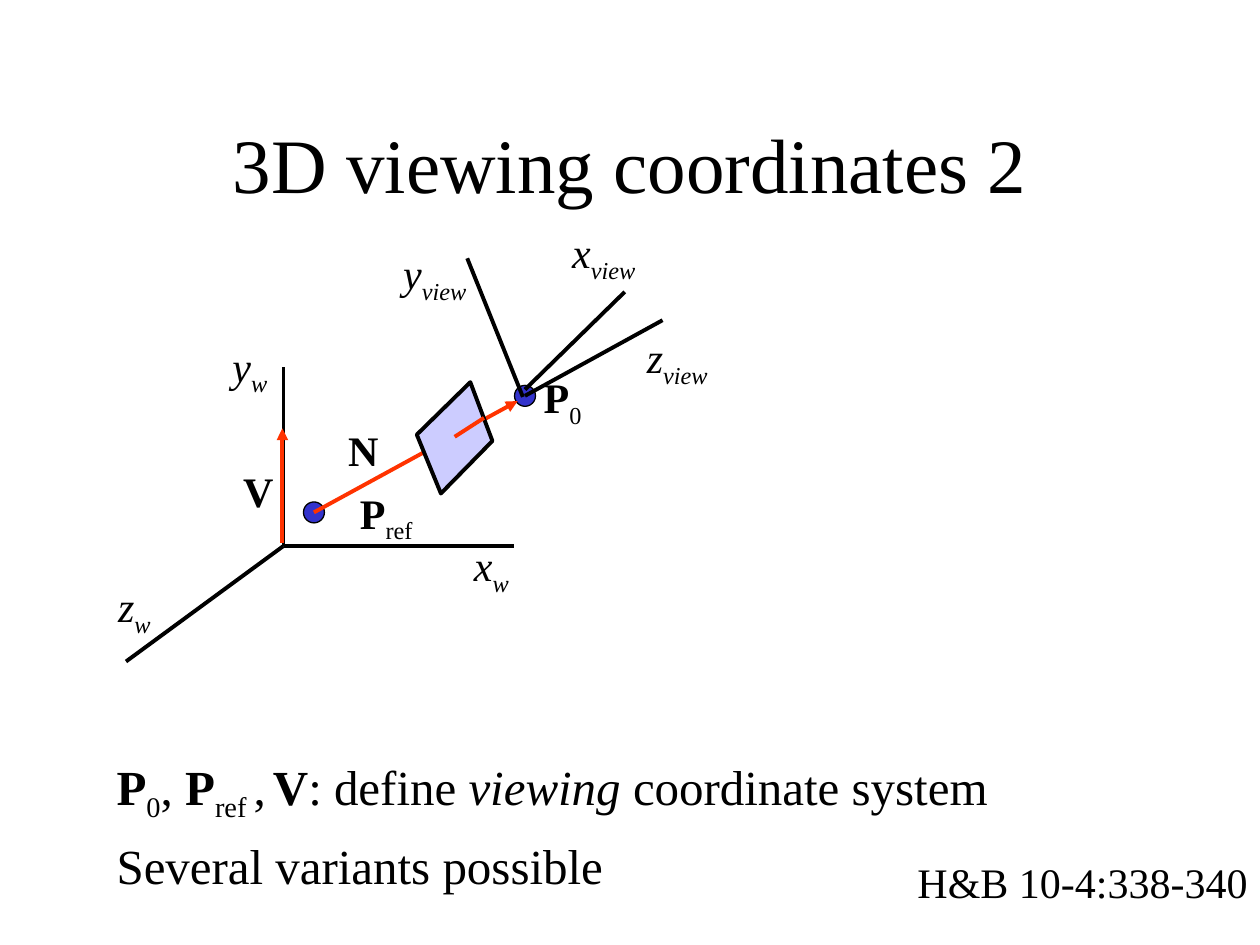
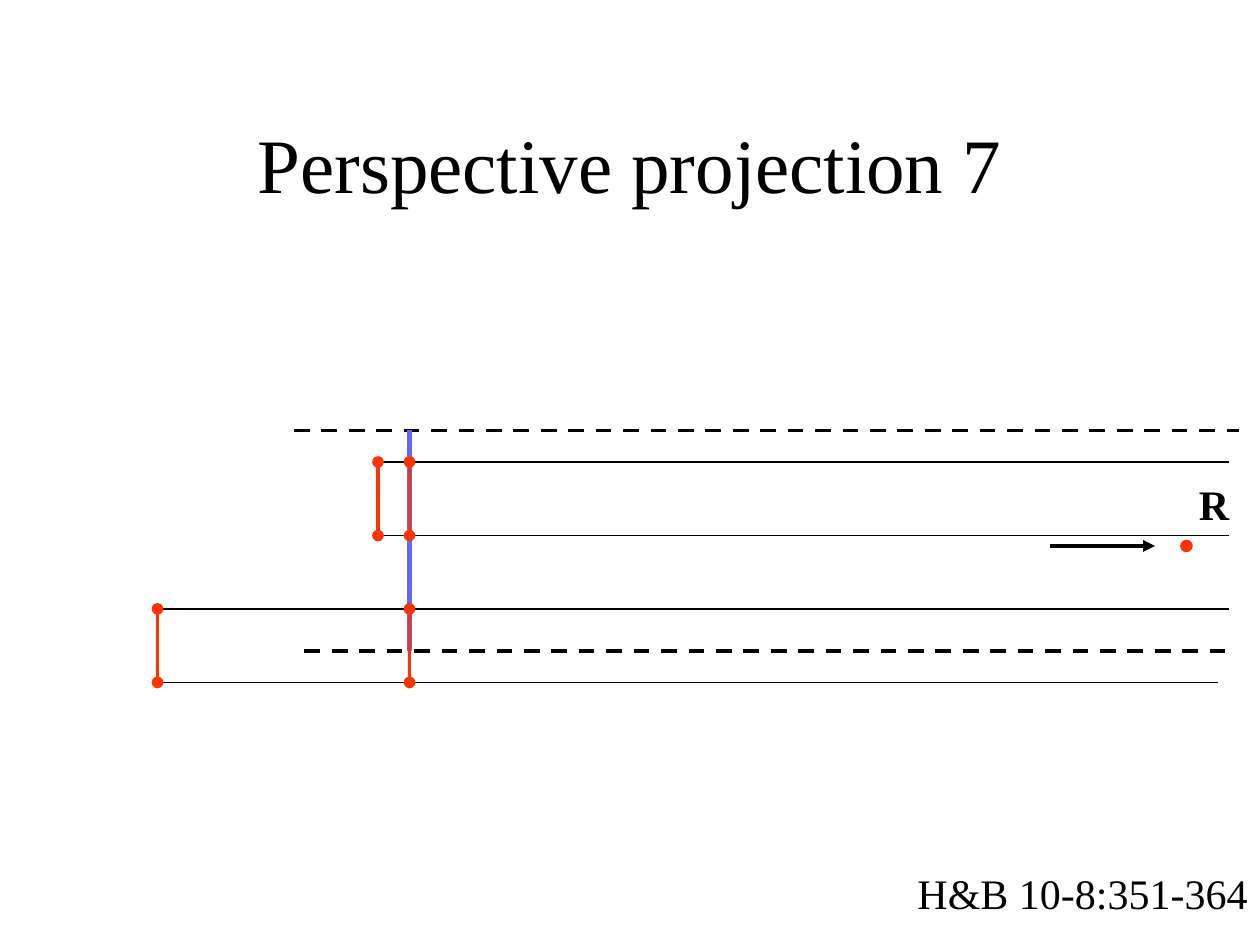
"""Build two slides on viewing coordinates and perspective projection."""
import dataclasses

import lxml.etree
import pptx
import pptx.dml.color
import pptx.enum.dml
import pptx.enum.shapes
import pptx.enum.text
import pptx.oxml.ns
import pptx.util

SCALE = 7620
SHAPE = pptx.enum.shapes.MSO_SHAPE
ALIGN = pptx.enum.text.PP_ALIGN
DASH = pptx.enum.dml.MSO_LINE.DASH


@dataclasses.dataclass(frozen=True)
class Theme:
    font: str = "Times New Roman"
    ink: str = "000000"
    red: str = "FF3300"
    dot: str = "3333CC"
    pane: str = "CCCCFF"
    plane: str = "6666FF"
    title: int = 44
    body: int = 28
    label: int = 24
    thin: float = 0.75
    thick: float = 2.25
    wide: float = 3


THEME = Theme()


def px(num):
    return pptx.util.Emu(num * SCALE)


def tone(code):
    return pptx.dml.color.RGBColor.from_string(code)


def child(node, tag, **attrs):
    lxml.etree.SubElement(node, pptx.oxml.ns.qn(tag), **attrs)


def write(para, text, size=THEME.label, bold=False, slant=False, sub=False):
    run = para.add_run()
    run.text = text
    font = run.font
    font.name, font.size = THEME.font, pptx.util.Pt(size)
    font.bold, font.italic = bold, slant
    font.color.rgb = tone(THEME.ink)
    if sub:
        font._element.set("baseline", "-25000")


class Deck:
    def __init__(self, theme):
        self.theme = theme
        self.show = pptx.Presentation()
        self.show.slide_width, self.show.slide_height = px(1200), px(900)
        self.slide = None

    def start(self, title, layout):
        self.slide = self.show.slides.add_slide(self.show.slide_layouts[layout])
        head = self.slide.shapes.title
        self.place(head, 90, 80, 1020, 150)
        head.text_frame.vertical_anchor = pptx.enum.text.MSO_ANCHOR.MIDDLE
        para = head.text_frame.paragraphs[0]
        para.alignment = ALIGN.CENTER
        write(para, title, size=self.theme.title)

    def place(self, shape, left, top, width, height):
        shape.left, shape.top = px(left), px(top)
        shape.width, shape.height = px(width), px(height)

    def list(self, box, items):
        body = self.slide.placeholders[1]
        self.place(body, *box)
        frame = body.text_frame
        frame.auto_size = pptx.enum.text.MSO_AUTO_SIZE.NONE
        for rank, parts in enumerate(items):
            para = frame.add_paragraph() if rank else frame.paragraphs[0]
            para.space_before = pptx.util.Pt(7 if rank else 0)
            props = para._p.get_or_add_pPr()
            props.set("marL", str(px(45)))
            props.set("indent", str(px(-45)))
            child(props, "a:buNone")
            for text, style in parts:
                write(para, text, size=self.theme.body, **style)

    def label(self, left, top, width, height, *parts, align=ALIGN.CENTER):
        box = self.slide.shapes.add_textbox(*map(px, (left, top, width, height)))
        frame = box.text_frame
        frame.word_wrap = False
        if align == ALIGN.LEFT:
            frame.margin_right = 0
        para = frame.paragraphs[0]
        para.alignment = align
        for text, style in parts:
            write(para, text, **style)

    def line(self, start, end, color=THEME.ink, width=THEME.thick,
             head=None, tail=None, dash=None):
        kind = pptx.enum.shapes.MSO_CONNECTOR.STRAIGHT
        link = self.slide.shapes.add_connector(kind, *map(px, start + end))
        link.line.color.rgb = tone(color)
        link.line.width = pptx.util.Pt(width)
        if dash:
            link.line.dash_style = dash
        props = link._element.spPr
        for tag, form in (("a:headEnd", head), ("a:tailEnd", tail)):
            if form:
                child(props.find(pptx.oxml.ns.qn("a:ln")), tag, type=form)
        child(props, "a:effectLst")

    def paint(self, shape, fill, edge):
        shape.shadow.inherit = False
        shape.fill.solid()
        shape.fill.fore_color.rgb = tone(fill)
        if edge:
            shape.line.color.rgb = tone(self.theme.ink)
            shape.line.width = pptx.util.Pt(edge)
        else:
            shape.line.fill.background()

    def dot(self, mid, size, fill, edge=None):
        left, top = (num - size // 2 for num in mid)
        shape = self.slide.shapes.add_shape(
            SHAPE.OVAL, *map(px, (left, top, size, size)))
        self.paint(shape, fill, edge)

    def patch(self, first, *rest, fill):
        build = self.slide.shapes.build_freeform(*first, scale=SCALE)
        build.add_line_segments(rest, close=True)
        self.paint(build.convert_to_shape(), fill, self.theme.thick)

    def source(self, top, text):
        self.label(862, top, 338, 60, (text, {}), align=ALIGN.LEFT)


PLAIN, BOLD, SLANT = {}, {"bold": True}, {"slant": True}
SUB, LEAN = {"sub": True}, {"slant": True, "sub": True}


def view(deck):
    """Draw the world axes, the view axes and the view plane."""
    deck.start("3D viewing coordinates 2", 1)
    root = (270, 520)
    for end in ((270, 350), (120, 630), (490, 520)):
        deck.line(root, end)
    for left, top, width, name, sub in (
            (98, 547, 60, "z", "w"), (208, 318, 60, "y", "w"),
            (438, 508, 60, "x", "w"), (600, 310, 90, "z", "view"),
            (369, 230, 90, "y", "view"), (530, 210, 90, "x", "view")):
        deck.label(left, top, width, 67, (name, SLANT), (sub, LEAN))
    for left, top, width, sub, mid in ((506, 348, 60, "0", (500, 377)),
                                       (331, 458, 74, "ref", (299, 488))):
        deck.label(left, top, width, 67, ("P", BOLD), (sub, SUB),
                   align=ALIGN.LEFT)
        deck.dot(mid, 20, THEME.dot, THEME.thin)
    for start, end in (((299, 488), (493, 382)), ((269, 517), (269, 408))):
        deck.line(start, end, THEME.red, tail="triangle")
    for left, top, name in ((317, 398, "N"), (217, 437, "V")):
        deck.label(left, top, 58, 60, (name, BOLD))
    deck.patch((397, 414), (420, 470), (469, 420), (448, 364), fill=THEME.pane)
    deck.line((433, 416), (461, 398), THEME.red)
    for start, end in (((631, 305), (500, 377)), ((595, 278), (500, 371)),
                       ((445, 246), (498, 378))):
        deck.line(start, end)
    deck.list((99, 714, 1050, 150), (
        (("P", BOLD), ("0", SUB), (", ", PLAIN), ("P", BOLD), ("ref ", SUB),
         (",", PLAIN), (" ", SUB), ("V", BOLD), (": define ", PLAIN),
         ("viewing ", SLANT), ("coordinate system", PLAIN)),
        (("Several variants possible", PLAIN),)))
    deck.source(810, "H&B 10-4:338-340")


def project(deck):
    """Draw two edges and their images on the plane along rays to R."""
    deck.start("Perspective projection 7", 5)
    plane, gap = 390, 70
    edges = ((360, 440), (150, 580))
    for left, top in edges:
        for row in (top, top + gap):
            right = 1160 if row == 650 else 1170
            deck.line((left, row), (right, row), width=THEME.thin)
    deck.line((280, 410), (1180, 410), dash=DASH)
    deck.line((plane, 410), (plane, 620), THEME.plane, THEME.wide)
    deck.line((1000, 520), (1100, 520), tail="triangle")
    deck.label(1130, 450, 53, 60, ("R", BOLD), align=ALIGN.LEFT)
    deck.dot((1130, 520), 12, THEME.red)
    deck.line((290, 620), (1170, 620), dash=DASH)
    for left, top in edges:
        for col in (left, plane):
            deck.line((col, top), (col, top + gap), THEME.red,
                      head="oval", tail="oval")
    deck.source(820, "H&B 10-8:351-364")


def main():
    deck = Deck(THEME)
    view(deck)
    project(deck)
    deck.show.save("out.pptx")


if __name__ == "__main__":
    main()
